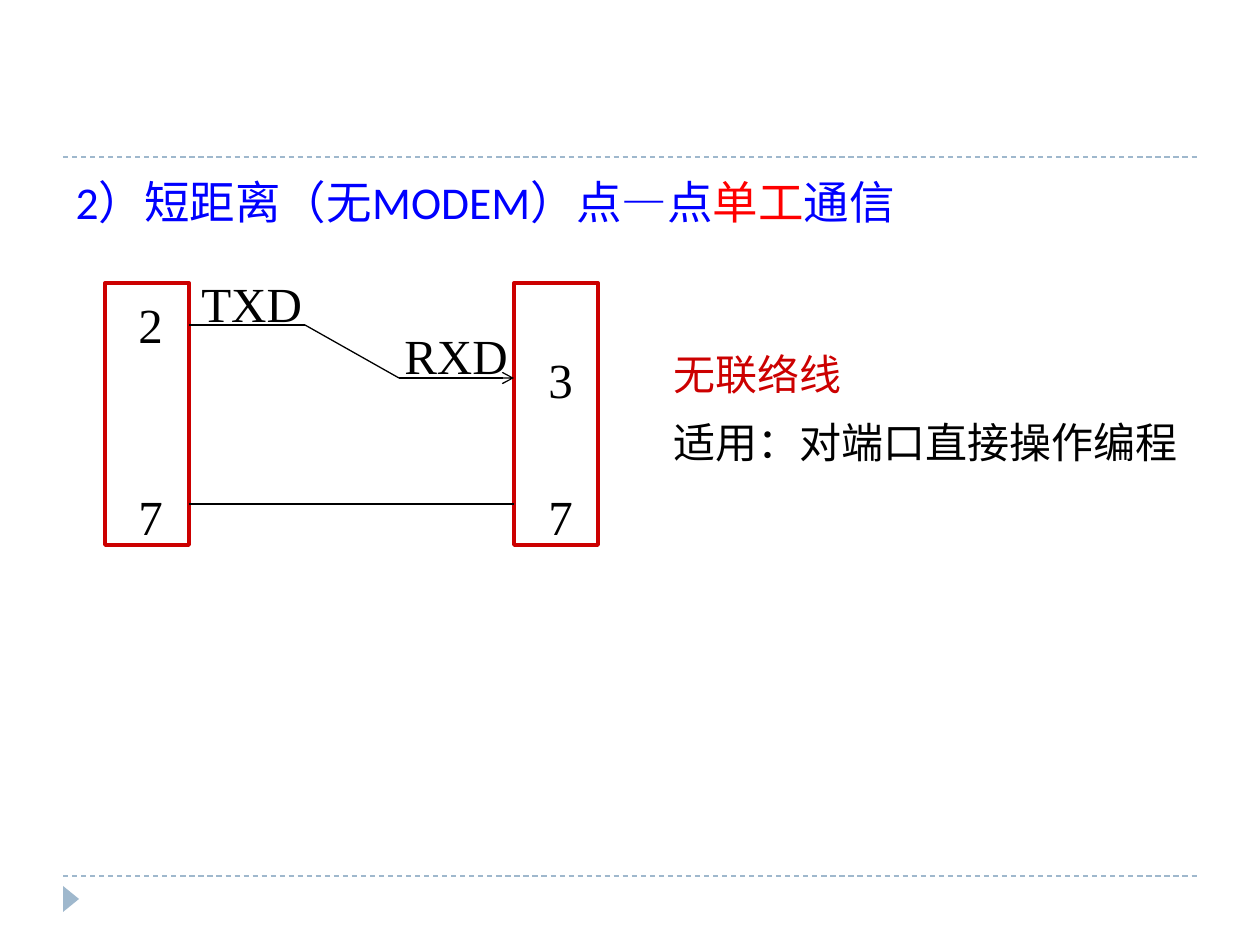
"""Build a slide on short-distance simplex serial wiring."""
from lxml import etree
from pptx import Presentation, util as u
from pptx.dml.color import RGBColor
from pptx.enum import dml, shapes, text
from pptx.oxml import ns

SCALE = 914400 / 126
BLUE = RGBColor(0x00, 0x00, 0xFF)
RED = RGBColor(0xFF, 0x00, 0x00)
CRIMSON = RGBColor(0xCC, 0x00, 0x00)
BLACK = RGBColor(0x00, 0x00, 0x00)
STEEL = RGBColor(0x9F, 0xB8, 0xCD)
SERIF = "Times New Roman"
LEFT, RIGHT = 189, 514


def px(*nums):
    return [u.Emu(round(n * SCALE)) for n in nums]


def add_line(parent, ends, color=BLACK, dash=False, arrow=False):
    line = parent.add_connector(shapes.MSO_CONNECTOR.STRAIGHT, *px(*ends))
    line.line.color.rgb = color
    line.line.width = u.Pt(0.75)
    if dash:
        line.line.dash_style = dml.MSO_LINE.DASH
    if arrow:
        etree.SubElement(line.line._get_or_add_ln(), ns.qn("a:tailEnd"), type="arrow")
    etree.SubElement(line._element.spPr, ns.qn("a:effectLst"))


def add_port(parent, left):
    port = parent.add_shape(shapes.MSO_SHAPE.RECTANGLE, *px(left, 283, 84, 262))
    port.shadow.inherit = False
    port.fill.background()
    port.line.color.rgb = CRIMSON
    port.line.width = u.Pt(2.25)


def add_text(parent, area, rows, size, space=1.0, top=6):
    frame = parent.add_textbox(*px(*area)).text_frame
    frame.word_wrap = True
    frame.margin_top = px(top)[0]
    for i, (words, color) in enumerate(rows):
        para = frame.add_paragraph() if i else frame.paragraphs[0]
        para.text = words
        para.line_spacing = space
        para.font.name = SERIF
        para.font.size = u.Pt(size)
        para.font.color.rgb = color


def add_marker(parent):
    mark = parent.add_shape(shapes.MSO_SHAPE.ISOSCELES_TRIANGLE, *px(58, 891, 26, 16))
    mark.rotation = 90
    mark.shadow.inherit = False
    mark.fill.solid()
    mark.fill.fore_color.rgb = STEEL
    mark.line.fill.background()


def fill_body(body):
    body.left, body.top, body.width, body.height = px(63, 168, 1134, 680)
    frame = body.text_frame
    frame.auto_size = text.MSO_AUTO_SIZE.NONE
    para = frame.paragraphs[0]
    props = para._p.get_or_add_pPr()
    props.set("marL", "0")
    props.set("indent", "0")
    etree.SubElement(props, ns.qn("a:buNone"))
    para.space_before = u.Pt(0)
    para.font.name = "Calibri"
    para.font.size = u.Pt(26)
    for words, color in (("2）短距离（无MODEM）点—点", BLUE), ("单工", RED), ("通信", BLUE)):
        run = para.add_run()
        run.text = words
        run.font.color.rgb = color


def draw_wiring(parent):
    for left in (105, RIGHT):
        add_port(parent, left)
    bends = [(LEFT, 325), (305, 325), (399, 378), (RIGHT, 378)]
    for start, end in zip(bends, bends[1:]):
        add_line(parent, start + end, arrow=end == bends[-1])
    add_line(parent, (LEFT, 504, RIGHT, 504))
    labels = [("2", 126, 283, 84), ("7", 126, 475, 84), ("3", 536, 338, 84),
              ("7", 536, 475, 84), ("TXD", LEFT, 262, 158), ("RXD", 392, 314, 158)]
    for words, left, top, width in labels:
        add_text(parent, (left, top, width, 72), [(words, BLACK)], 28, top=11)
    notes = [("无联络线", CRIMSON), ("适用：对端口直接操作编程", BLACK)]
    add_text(parent, (661, 325, 564, 149), notes, 24, space=1.35)


def main():
    deck = Presentation()
    deck.slide_width, deck.slide_height = px(1260, 945)
    slide = deck.slides.add_slide(deck.slide_layouts[1])
    title = slide.shapes.title._element
    title.getparent().remove(title)
    for y in (876, 157):
        add_line(slide.shapes, (63, y, 1197, y), STEEL, dash=True)
    add_marker(slide.shapes)
    fill_body(slide.placeholders[1])
    draw_wiring(slide.shapes.add_group_shape().shapes)
    deck.save("out.pptx")


if __name__ == "__main__":
    main()
